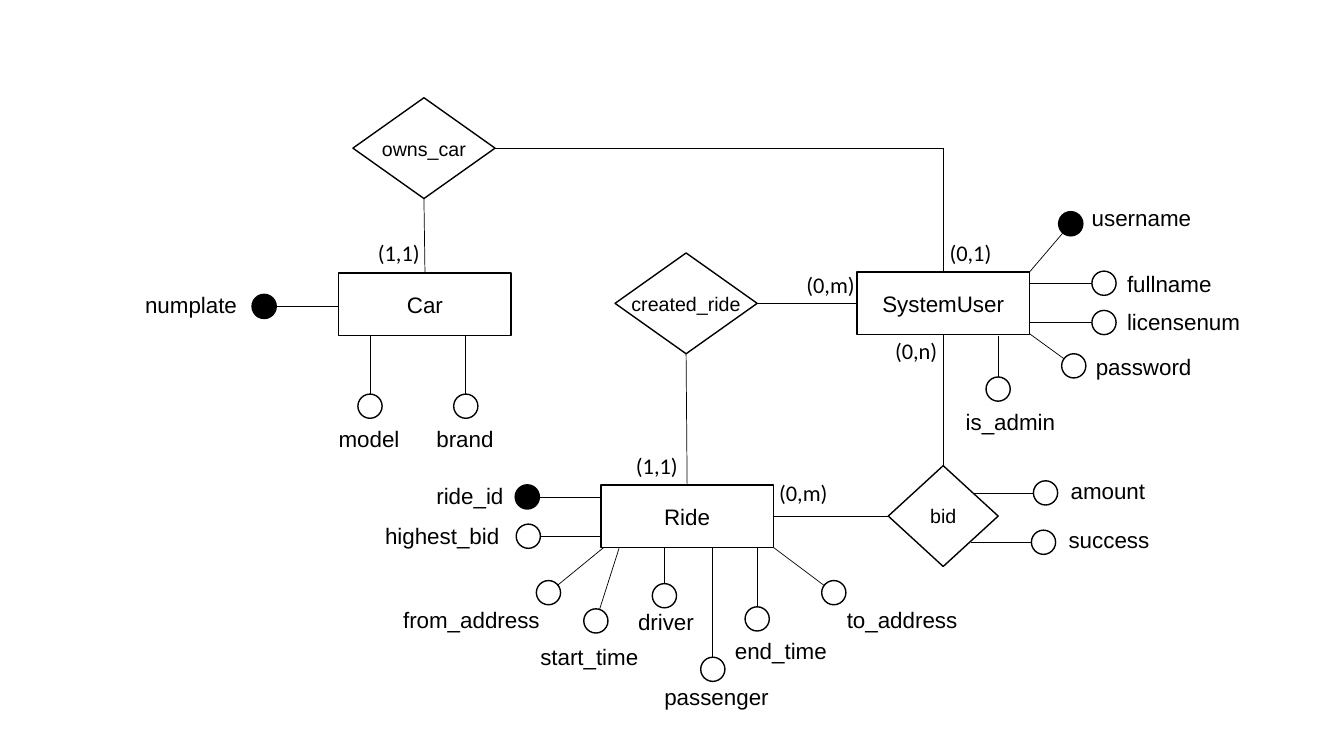
import math
import pptx
import pptx.util
import pptx.dml.color
import pptx.enum.shapes
import pptx.enum.text
import pptx.oxml.ns
from lxml import etree

SHAPE = pptx.enum.shapes.MSO_SHAPE
ANCHOR = pptx.enum.text.MSO_ANCHOR
ALIGN = pptx.enum.text.PP_ALIGN
INK = pptx.dml.color.RGBColor(0, 0, 0)

COLUMNS, ROWS = 1333, 750
DOT = 24
LABEL_HEIGHT = 37
CARDINALITY_WIDTH = 70
ENTITY_SIZE = (171, 62)
TOP, LEFT, BOTTOM, RIGHT = range(4)

THEME = {
    "outline": {"width": pptx.util.Pt(1)},
    "link": {"width": pptx.util.Pt(0.5)},
    "entity": {"name": "Arial", "size": pptx.util.Pt(16)},
    "attribute": {"name": "Arial", "size": pptx.util.Pt(16)},
    "relationship": {"name": "Arial", "size": pptx.util.Pt(14)},
    "cardinality": {"name": "Calibri", "size": pptx.util.Pt(16)},
}

ENTITIES = {"Car": (336, 271), "SystemUser": (850, 270), "Ride": (596, 481)}

RELATIONSHIPS = {
    "owns_car": (350, 97, 141, 100),
    "created_ride": (610, 251, 141, 100),
    "bid": (881, 462, 109, 100),
}

LINKS = [
    ("owns_car", BOTTOM, "Car", TOP),
    ("created_ride", BOTTOM, "Ride", TOP),
    ("created_ride", RIGHT, "SystemUser", LEFT),
    ("Ride", RIGHT, "bid", LEFT),
    ("bid", TOP, "SystemUser", BOTTOM),
]
OWNER_CORNER = (935.5, 147)

# name: (owner edge, dot centre, label left, top and width)
ATTRIBUTES = {
    "model": ((367, 333), (367, 403), (326, 417, 81)),
    "brand": ((462, 333), (462, 403), (423, 417, 78)),
    "fullname": ((1021, 281), (1095, 281), (1108, 263, 105)),
    "licensenum": ((1021, 320), (1095, 320), (1108, 301, 133)),
    "password": ((1021, 331), (1065, 363), (1077, 345, 116)),
    "is_admin": ((990, 333), (990, 386), (948, 400, 110)),
    "amount": ((965, 489), (1037, 489), (1052, 468, 95)),
    "success": ((963, 538), (1035, 538), (1050, 517, 101)),
    "highest_bid": ((597, 532), (524, 532), (372, 513, 135)),
    "from_address": ((599, 543), (544, 588), (390, 596, 157)),
    "start_time": ((614, 544), (591, 616), (526, 633, 119)),
    "driver": ((659, 544), (659, 591), (623, 598, 76)),
    "passenger": ((707, 544), (707, 664), (649, 673, 125)),
    "end_time": ((751, 544), (751, 614), (719, 627, 112)),
    "to_address": ((767, 543), (827, 588), (830, 596, 131)),
}
KEYS = {
    "numplate": ((336, 304), (262, 304), (134, 284, 112)),
    "username": ((1021, 270), (1062, 222), (1073, 198, 120)),
    "ride_id": ((596, 493), (523, 493), (423, 473, 87)),
}

CARDINALITIES = [
    ("(1,1)", 365, 232),
    ("(0,1)", 932, 232),
    ("(1,1)", 621, 444),
    ("(0,m)", 763, 470),
    ("(0,m)", 790, 264),
    ("(0,n)", 878, 330),
]

deck = pptx.Presentation()
deck.slide_width = pptx.util.Inches(13.33)
deck.slide_height = pptx.util.Inches(7.5)
diagram = deck.slides.add_slide(deck.slide_layouts[6]).shapes


def place(*lengths):
    cells = (deck.slide_width / COLUMNS, deck.slide_height / ROWS)
    return [round(length * cells[i % 2]) for i, length in enumerate(lengths)]


def apply(target, values):
    for attribute, value in values.items():
        setattr(target, attribute, value)


def write(holder, words, style, wrap=False, **paragraph_format):
    holder.text_frame.word_wrap = wrap
    paragraph = holder.text_frame.paragraphs[0]
    apply(paragraph, paragraph_format)
    passage = paragraph.add_run()
    passage.text = words
    apply(passage.font, THEME[style])
    passage.font.color.rgb = INK


def draw_outline(kind, box, filled=False):
    figure = diagram.add_shape(kind, *place(*box))
    figure.shadow.inherit = False
    if filled:
        figure.fill.solid()
        figure.fill.fore_color.rgb = INK
    else:
        figure.fill.background()
    apply(figure.line, THEME["outline"])
    figure.line.color.rgb = INK
    return figure


def draw_link(start=(0, 0), end=(0, 0)):
    link = diagram.add_connector(
        pptx.enum.shapes.MSO_CONNECTOR.STRAIGHT, *place(*start, *end))
    apply(link.line, THEME["link"])
    link.line.color.rgb = INK
    etree.SubElement(link.line._get_or_add_ln().getparent(),
                     pptx.oxml.ns.qn("a:effectLst"))
    return link


def draw_node(kind, box, name, style):
    node = draw_outline(kind, box)
    node.text_frame.vertical_anchor = ANCHOR.MIDDLE
    write(node, name, style, alignment=ALIGN.CENTER)
    return node


def draw_attribute(name, edge, centre, label, is_key):
    reach = 1 - DOT / 2 / math.dist(edge, centre)
    rim = [a + (b - a) * reach for a, b in zip(edge, centre)]
    draw_link(edge, rim)
    corner = [c - DOT / 2 for c in centre]
    draw_outline(SHAPE.OVAL, (*corner, DOT, DOT), is_key)
    caption = diagram.add_textbox(*place(*label, LABEL_HEIGHT))
    write(caption, name, "attribute")


nodes = {}
for name, corner in ENTITIES.items():
    nodes[name] = draw_node(SHAPE.RECTANGLE, (*corner, *ENTITY_SIZE), name, "entity")
for name, box in RELATIONSHIPS.items():
    nodes[name] = draw_node(SHAPE.DIAMOND, box, name, "relationship")

for source, source_side, target, target_side in LINKS:
    link = draw_link()
    link.begin_connect(nodes[source], source_side)
    link.end_connect(nodes[target], target_side)
for name, side in (("owns_car", RIGHT), ("SystemUser", TOP)):
    draw_link(end=OWNER_CORNER).begin_connect(nodes[name], side)

for group, is_key in ((ATTRIBUTES, False), (KEYS, True)):
    for name, (edge, centre, label) in group.items():
        draw_attribute(name, edge, centre, label, is_key)

for words, left, top in CARDINALITIES:
    note = diagram.add_textbox(*place(left, top, CARDINALITY_WIDTH, LABEL_HEIGHT))
    write(note, words, "cardinality", wrap=True)

deck.save("out.pptx")
